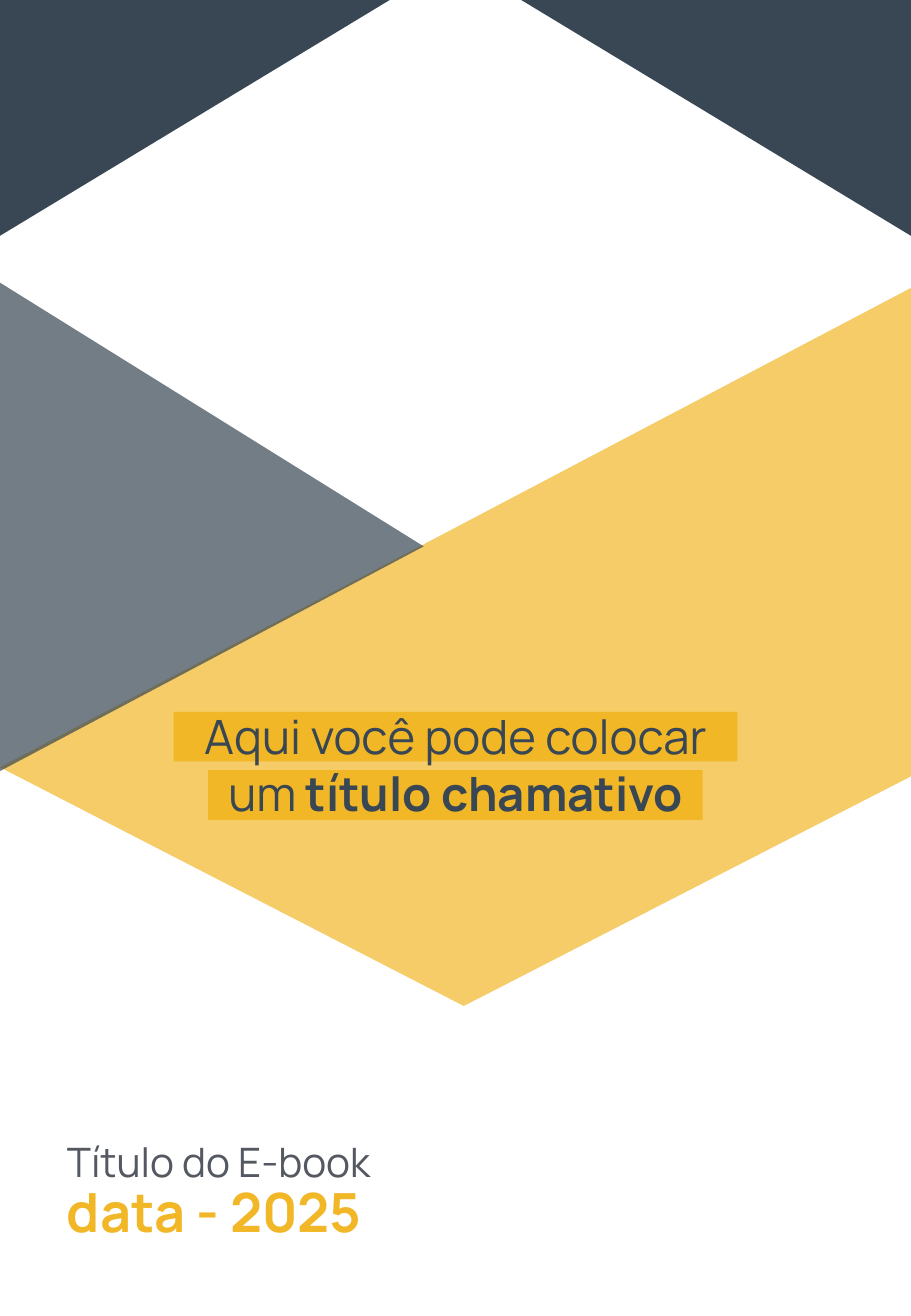
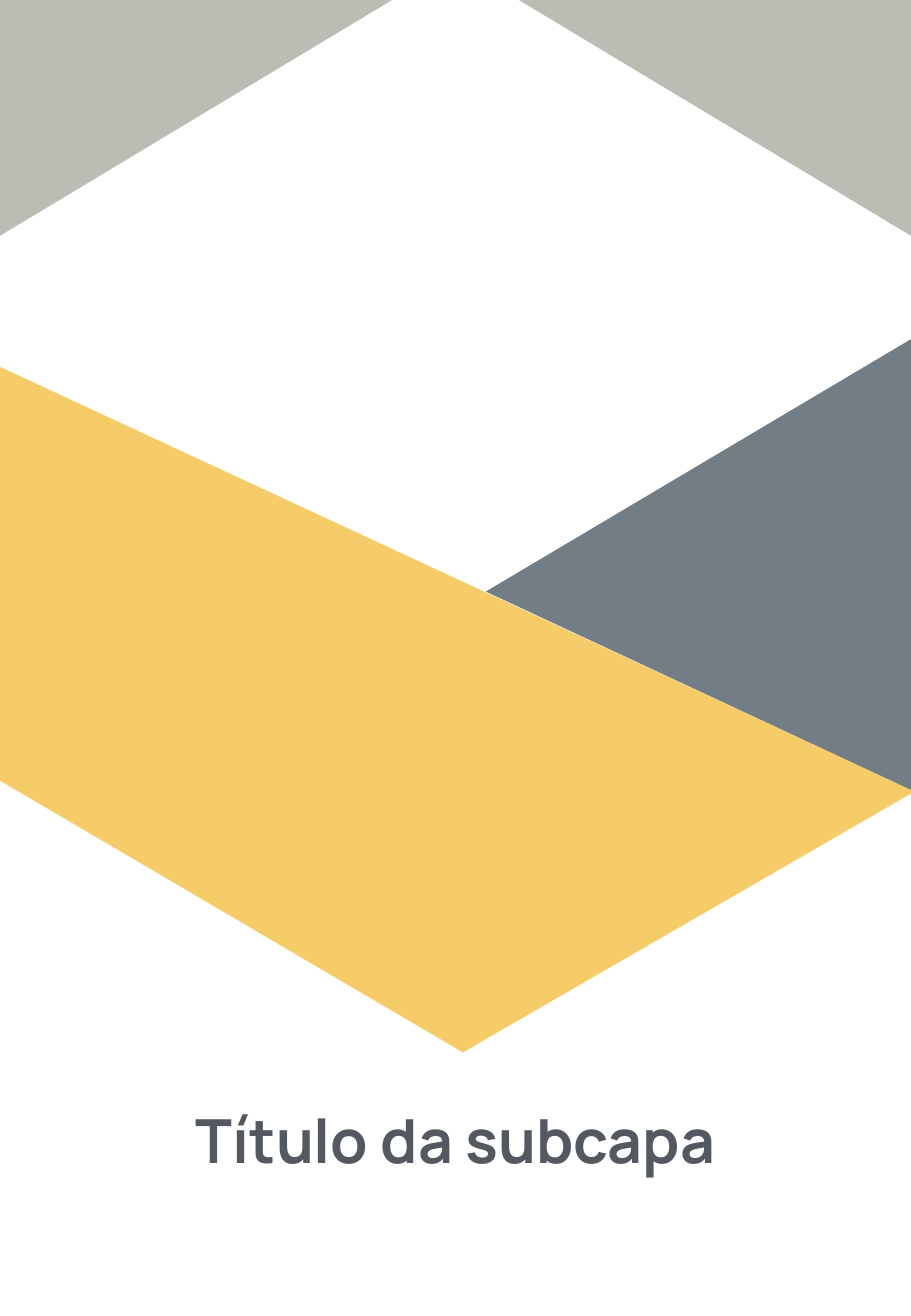
import pptx
import pptx.dml.color
import pptx.enum.shapes
import pptx.enum.text
import pptx.oxml
import pptx.oxml.ns
import pptx.util

Cm = pptx.util.Cm
PRESET = pptx.enum.shapes.MSO_SHAPE
ALIGN = pptx.enum.text.PP_ALIGN

PAGE_WIDTH, PAGE_HEIGHT = 19.05, 27.51
FONT = "Manrope"
NAVY, YELLOW, STONE, SLATE = "384753", "F1B727", "BCBCB4", "535861"
VEIL = 70  # opacity of the large shapes, in percent


def color(value):
    return pptx.dml.color.RGBColor.from_string(value)


def paint(shape, fill, opacity=100):
    shape.shadow.inherit = False
    shape.line.fill.background()
    shape.fill.solid()
    shape.fill.fore_color.rgb = color(fill)
    if opacity < 100:
        swatch = shape._element.spPr.find(".//" + pptx.oxml.ns.qn("a:srgbClr"))
        alpha = pptx.oxml.parse_xml(
            f'<a:alpha {pptx.oxml.ns.nsdecls("a")} val="{opacity * 1000}"/>')
        swatch.append(alpha)


def add_preset(page, kind, left, top, width, height, rotation=0):
    """Place a preset so that its box after any quarter turn is the given one."""
    if rotation % 180:
        left, top = left + (width - height) / 2, top + (height - width) / 2
        width, height = height, width
    shape = page.shapes.add_shape(kind, Cm(left), Cm(top), Cm(width), Cm(height))
    shape.rotation = rotation
    return shape


def add_top_corners(page, fill, width, height):
    for left, rotation in ((0, 90), (PAGE_WIDTH - width, 180)):
        corner = add_preset(page, PRESET.RIGHT_TRIANGLE, left, 0, width, height, rotation)
        paint(corner, fill)


def add_side_triangle(page, left, top, width, height, rotation, peak):
    """Triangle with its base on the page edge; peak is the tip's share of the base."""
    triangle = add_preset(page, PRESET.ISOSCELES_TRIANGLE, left, top, width, height, rotation)
    triangle.adjustments[0] = peak
    paint(triangle, NAVY, VEIL)


def add_band(page, corners):
    points = [(Cm(x), Cm(y)) for x, y in corners]
    builder = page.shapes.build_freeform(*points[0])
    builder.add_line_segments(points[1:], close=True)
    paint(builder.convert_to_shape(), YELLOW, VEIL)


def write(box, text, size, ink, bold=False, align=ALIGN.LEFT, margins=(0, 0)):
    frame = box.text_frame
    frame.word_wrap = True
    frame.auto_size = pptx.enum.text.MSO_AUTO_SIZE.NONE
    frame.vertical_anchor = pptx.enum.text.MSO_ANCHOR.TOP
    frame.margin_left = frame.margin_right = Cm(margins[0])
    frame.margin_top = frame.margin_bottom = Cm(margins[1])
    frame.text = text
    para = frame.paragraphs[0]
    para.alignment = align
    para.font.name = FONT
    para.font.size = pptx.util.Pt(size)
    para.font.bold = bold
    para.font.color.rgb = color(ink)
    for span in para.runs:
        style_span(span, size, ink, bold)
    return para


def style_span(span, size, ink, bold):
    span.font.name = FONT
    span.font.size = pptx.util.Pt(size)
    span.font.bold = bold
    span.font.color.rgb = color(ink)


def place_title(page, left, top, width, height):
    """Move the title placeholder to its box, in front of the shapes."""
    title = page.shapes.title
    title.left, title.top, title.width, title.height = map(Cm, (left, top, width, height))
    page.shapes._spTree.append(title._element)
    return title


def add_headline(page, left, top, width, height):
    for bar_top, bar_width in ((0.23, 11.79), (1.45, 10.34)):
        bar = add_preset(page, PRESET.RECTANGLE, left + (width - bar_width) / 2,
                         top + bar_top, bar_width, 1.04)
        paint(bar, YELLOW)
    title = place_title(page, left, top, width, height)
    para = write(title, "Aqui você pode colocar um ", 28, NAVY,
                 align=ALIGN.CENTER, margins=(0.25, 0.13))
    emphasis = para.add_run()
    emphasis.text = "título chamativo"
    style_span(emphasis, 28, NAVY, True)


def add_imprint(page, left, top, width):
    lines = (("Título do E-book", 24, SLATE, False, 0),
             ("data - 2025", 32, YELLOW, True, 0.87))
    for text, size, ink, bold, offset in lines:
        box = page.shapes.add_textbox(Cm(left), Cm(top + offset), Cm(width), Cm(1.22))
        write(box, text, size, ink, bold)


def build_cover(page):
    add_top_corners(page, NAVY, 8.15, 4.93)
    add_band(page, [(PAGE_WIDTH, 6.02), (PAGE_WIDTH, 16.23), (9.7, 21.03), (0, 16.04)])
    add_side_triangle(page, 0, 5.91, 8.86, 10.21, 90, 0.54)
    add_imprint(page, 1.4, 23.77, 8)
    add_headline(page, 3.5, 14.65, 12.05, 2.67)


def build_subcover(page):
    add_top_corners(page, STONE, 8.2, 4.93)
    add_band(page, [(0, 7.67), (0, 16.32), (9.68, 22),
                    (PAGE_WIDTH, 16.59), (PAGE_WIDTH, 16.51)])
    add_side_triangle(page, 10.16, 7.09, 8.89, 9.42, 270, 0.44)
    title = place_title(page, 2.23, 23.06, 14.6, 1.22)
    write(title, "Título da subcapa", 36, SLATE, True, ALIGN.CENTER)


def main():
    deck = pptx.Presentation()
    deck.slide_width, deck.slide_height = Cm(PAGE_WIDTH), Cm(PAGE_HEIGHT)
    title_only = deck.slide_layouts[5]
    for build in (build_cover, build_subcover):
        build(deck.slides.add_slide(title_only))
    deck.save("out.pptx")


if __name__ == "__main__":
    main()
